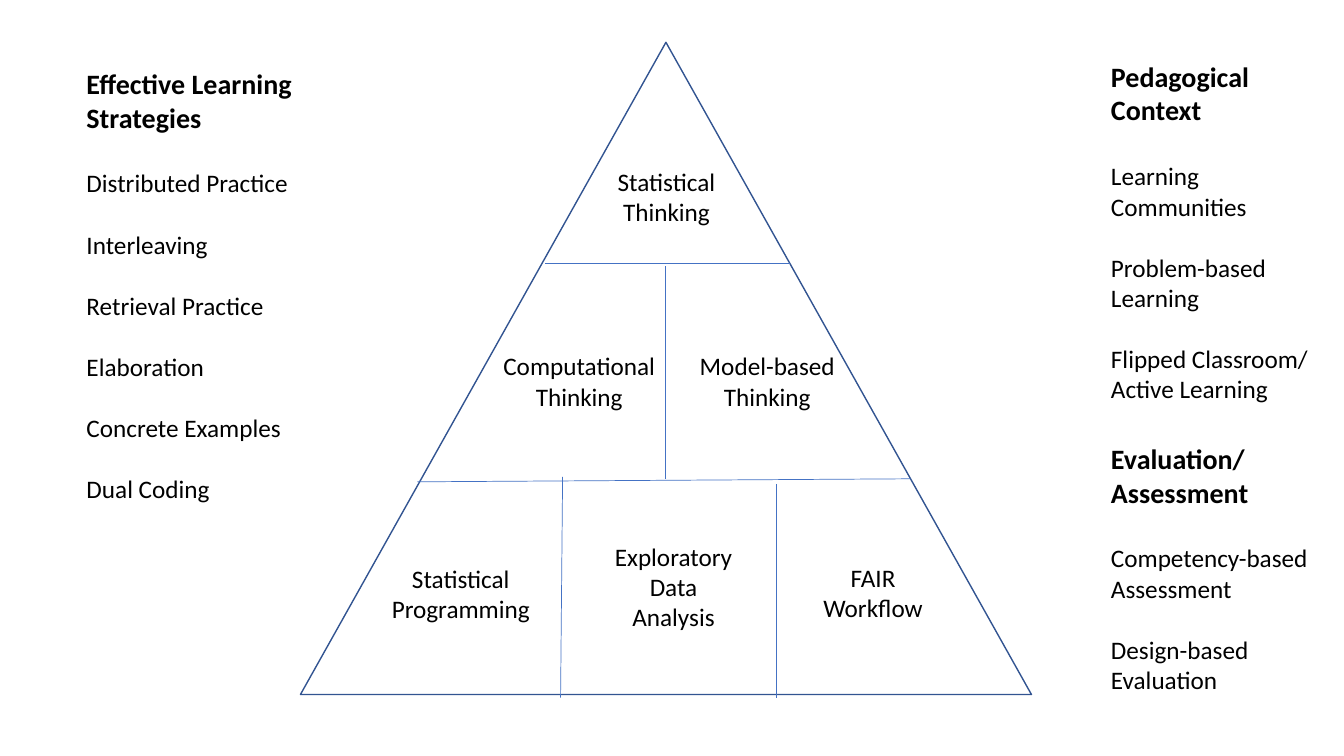
from lxml import etree
from pptx import Presentation
from pptx.dml.color import RGBColor
from pptx.enum.shapes import MSO_CONNECTOR, MSO_SHAPE
from pptx.enum.text import MSO_AUTO_SIZE, PP_ALIGN
from pptx.oxml.ns import qn
from pptx.util import Emu, Pt

BLACK = RGBColor(0x00, 0x00, 0x00)
NAVY = RGBColor(0x32, 0x54, 0x91)
BLUE = RGBColor(0x44, 0x72, 0xC4)
LEFT, CENTER = PP_ALIGN.LEFT, PP_ALIGN.CENTER
STRAIGHT, TRIANGLE = MSO_CONNECTOR.STRAIGHT, MSO_SHAPE.ISOSCELES_TRIANGLE
GROW = MSO_AUTO_SIZE.SHAPE_TO_FIT_TEXT
PX = 9144
WIDTH, HEIGHT = 1333, 750

RULES = [
    (660, 264, 660, 475),
    (541, 261, 784, 261),
    (414, 478, 903, 475),
    (558, 473, 556, 692),
    (770, 480, 770, 692),
]
LABELS = [
    ((589, 160, 144, 71), "Statistical\nThinking"),
    ((488, 343, 173, 71), "Computational\nThinking"),
    ((683, 343, 156, 71), "Model-based\nThinking"),
    ((378, 554, 158, 71), "Statistical\nProgramming"),
    ((599, 532, 138, 101), "Exploratory\nData\nAnalysis"),
    ((806, 553, 120, 71), "FAIR\nWorkflow"),
]
LISTS = [
    ((1092, 54, 218, 353), "Pedagogical\nContext",
     ["Learning\nCommunities", "Problem-based\nLearning",
      "Flipped Classroom/\nActive Learning"]),
    ((76, 61, 227, 444), "Effective Learning\nStrategies",
     ["Distributed Practice", "Interleaving", "Retrieval Practice",
      "Elaboration", "Concrete Examples", "Dual Coding"]),
    ((1092, 433, 218, 263), "Evaluation/\nAssessment",
     ["Competency-based\nAssessment", "Design-based\nEvaluation"]),
]


def write(frame, text, size=18, bold=False, align=LEFT, gap=0):
    """Add each line of text as a paragraph, with a gap above the first."""
    for row, line in enumerate(text.split("\n")):
        first = frame.paragraphs[0]
        para = frame.add_paragraph() if first.runs else first
        para.alignment = align
        para.space_before = Pt(0 if row else gap)
        run = para.add_run()
        run.text = line
        font = run.font
        font.name, font.size, font.bold = "Calibri", Pt(size), bold
        font.color.rgb = BLACK


class Board:
    """Hold the slide and the style of its elements."""

    def __init__(self, slide):
        """Keep the shapes of the slide."""
        self.shapes = slide.shapes

    def peak(self, *box):
        """Draw the outlined triangle."""
        shape = self.shapes.add_shape(TRIANGLE, *[Emu(n * PX) for n in box])
        shape.shadow.inherit = False
        shape.fill.background()
        shape.line.color.rgb = NAVY
        shape.line.width = Pt(1)

    def rule(self, *ends):
        """Draw a thin dividing line."""
        line = self.shapes.add_connector(STRAIGHT, *[Emu(n * PX) for n in ends])
        line.line.color.rgb = BLUE
        line.line.width = Pt(0.5)
        etree.SubElement(line._element.spPr, qn("a:effectLst"))

    def frame(self, box):
        """Add an empty text box and return its frame."""
        frame = self.shapes.add_textbox(*[Emu(n * PX) for n in box]).text_frame
        frame.word_wrap = False
        frame.auto_size = GROW
        return frame

    def label(self, box, text):
        """Add a centred label."""
        write(self.frame(box), text, align=CENTER)

    def list(self, box, head, items):
        """Add a bold heading with spaced items below it."""
        frame = self.frame(box)
        write(frame, head, size=20, bold=True)
        for row, item in enumerate(items):
            write(frame, item, gap=22 if row else 24.4)


def main():
    """Build and save the slide."""
    deck = Presentation()
    deck.slide_width, deck.slide_height = Emu(WIDTH * PX), Emu(HEIGHT * PX)
    board = Board(deck.slides.add_slide(deck.slide_layouts[6]))
    board.peak(298, 42, 725, 647)
    for ends in RULES:
        board.rule(*ends)
    for box, text in LABELS:
        board.label(box, text)
    for box, head, items in LISTS:
        board.list(box, head, items)
    deck.save("out.pptx")


if __name__ == "__main__":
    main()
